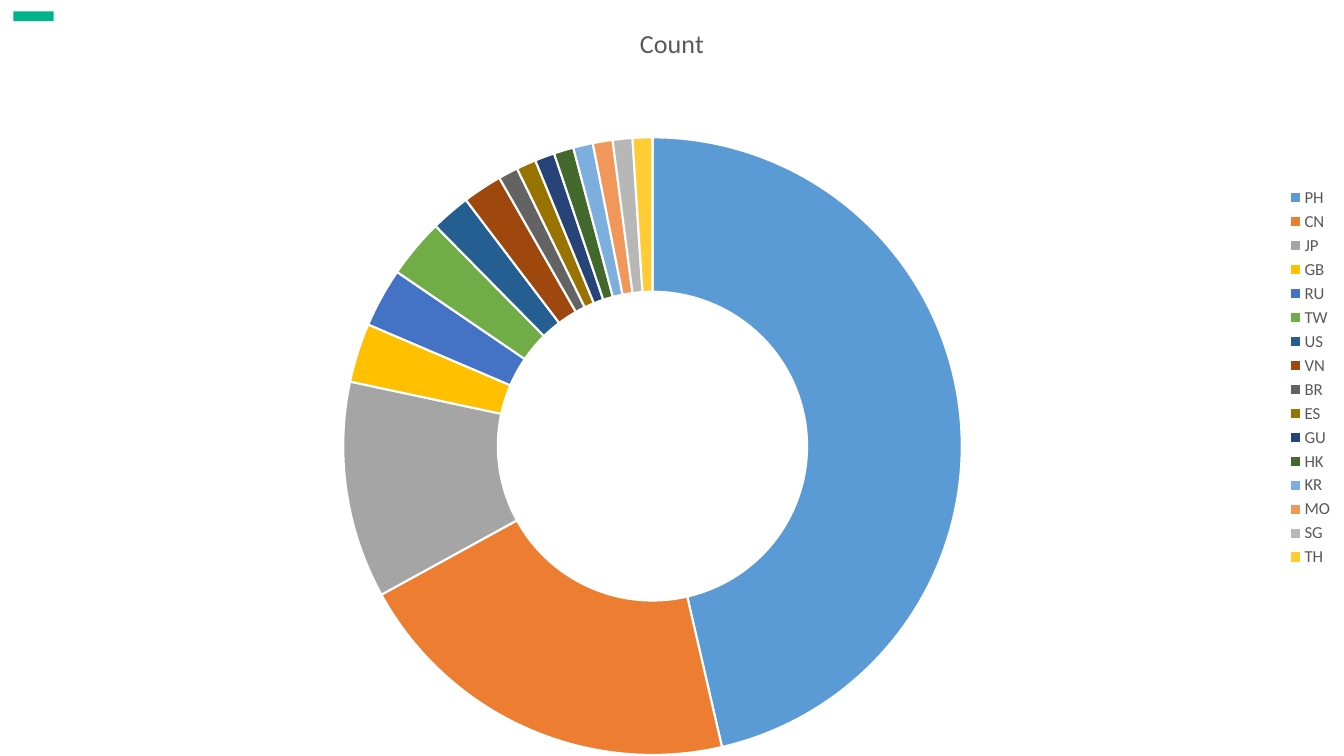
from lxml.etree import SubElement
from pptx import Presentation
from pptx.chart.data import CategoryChartData
from pptx.dml.color import RGBColor
from pptx.enum.chart import XL_CHART_TYPE, XL_LEGEND_POSITION
from pptx.enum.shapes import MSO_SHAPE
from pptx.oxml import parse_xml
from pptx.oxml.ns import nsdecls, qn
from pptx.util import Inches, Pt

COLORS = {"text": "595959", "edge": "FFFFFF", "mark": "00B388"}
# Country: (share in percent, slice colour)
SHARES = {
    "PH": (45, "5B9BD5"), "CN": (20, "ED7D31"),
    "JP": (11, "A5A5A5"), "GB": (3, "FFC000"),
    "RU": (3, "4472C4"), "TW": (3, "70AD47"),
    "US": (2, "255E91"), "VN": (2, "9E480E"),
    "BR": (1, "636363"), "ES": (1, "997300"),
    "GU": (1, "264478"), "HK": (1, "43682B"),
    "KR": (1, "7CAFDD"), "MO": (1, "F1975A"),
    "SG": (1, "B7B7B7"), "TH": (1, "FFCD33"),
}


def style(font, size=12, color="text", bold=False):
    """Format a font."""
    font.name, font.size, font.bold = "Calibri", Pt(size), bold
    font.color.rgb = RGBColor.from_string(COLORS[color])


def write(frame, text, **form):
    """Put text in a frame and format it."""
    frame.text = text
    style(frame.paragraphs[0].runs[0].font, **form)


class Deck:
    """Hold the style and the current slide."""

    def __init__(self, wide=13.33, high=7.5):
        """Start a deck with one blank slide."""
        self.show = Presentation()
        self.wide, self.high = Inches(wide), Inches(high)
        self.show.slide_width, self.show.slide_height = self.wide, self.high
        self.slide = self.show.slides.add_slide(self.show.slide_layouts[6])

    def place(self, left, top, width, height):
        """Turn shares of the slide into lengths."""
        return (int(left * self.wide), int(top * self.high),
                int(width * self.wide), int(height * self.high))

    def block(self, color, *area):
        """Draw a plain filled rectangle."""
        shape = self.slide.shapes.add_shape(MSO_SHAPE.RECTANGLE, *self.place(*area))
        shape.shadow.inherit = False
        shape.fill.solid()
        shape.fill.fore_color.rgb = RGBColor.from_string(COLORS[color])
        shape.line.fill.background()

    def ring(self, title, shares, area, plot, hole):
        """Draw a doughnut chart with a title and a legend."""
        data = CategoryChartData()
        data.categories = list(shares)
        data.add_series(title, [value for value, _ in shares.values()])
        chart = self.slide.shapes.add_chart(
            XL_CHART_TYPE.DOUGHNUT, *self.place(*area), data).chart
        style(chart.font, size=10)
        chart.has_title = True
        write(chart.chart_title.text_frame, title, size=18.6)
        chart.chart_title.include_in_layout = False
        chart.has_legend = True
        chart.legend.position = XL_LEGEND_POSITION.RIGHT
        chart.legend.include_in_layout = False
        style(chart.legend.font)

        rings = chart.plots[0]
        rings.vary_by_categories = True
        for index, (_, color) in enumerate(shares.values()):
            form = rings.series[0].points[index].format
            form.fill.solid()
            form.fill.fore_color.rgb = RGBColor.from_string(color)
            form.line.color.rgb = RGBColor.from_string(COLORS["edge"])
            form.line.width = Pt(1.5)

        space = chart.element
        space.find(".//" + qn("c:holeSize")).set("val", str(hole))
        self.layout(space.find(".//" + qn("c:plotArea")), plot)

    def layout(self, area, plot):
        """Fix the inner plot area, in shares of the chart."""
        for old in area.findall(qn("c:layout")):
            area.remove(old)
        node = parse_xml(f"<c:layout {nsdecls('c')}><c:manualLayout/></c:layout>")
        parts = [("layoutTarget", "inner"), ("xMode", "edge"), ("yMode", "edge")]
        for tag, value in parts + list(zip("xywh", plot)):
            SubElement(node[0], qn("c:" + tag)).set("val", str(value))
        area.insert(0, node)


deck = Deck()
deck.block("mark", 0.01, 0.015, 0.03, 0.013)
deck.ring("Count", SHARES, area=(0, 0, 1, 1),
          plot=(0.213, 0.182, 0.545, 0.818), hole=75)
deck.show.save("out.pptx")
